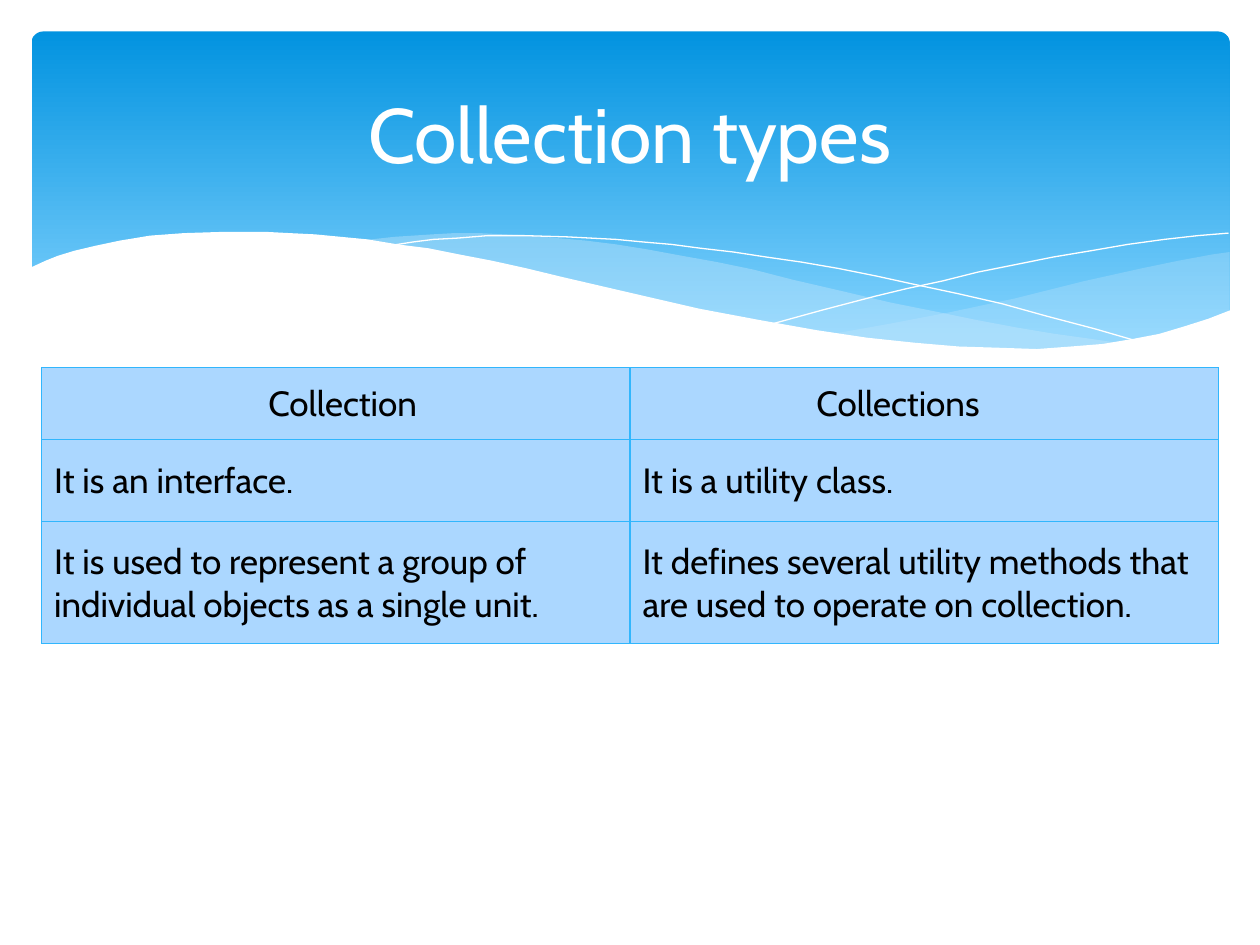
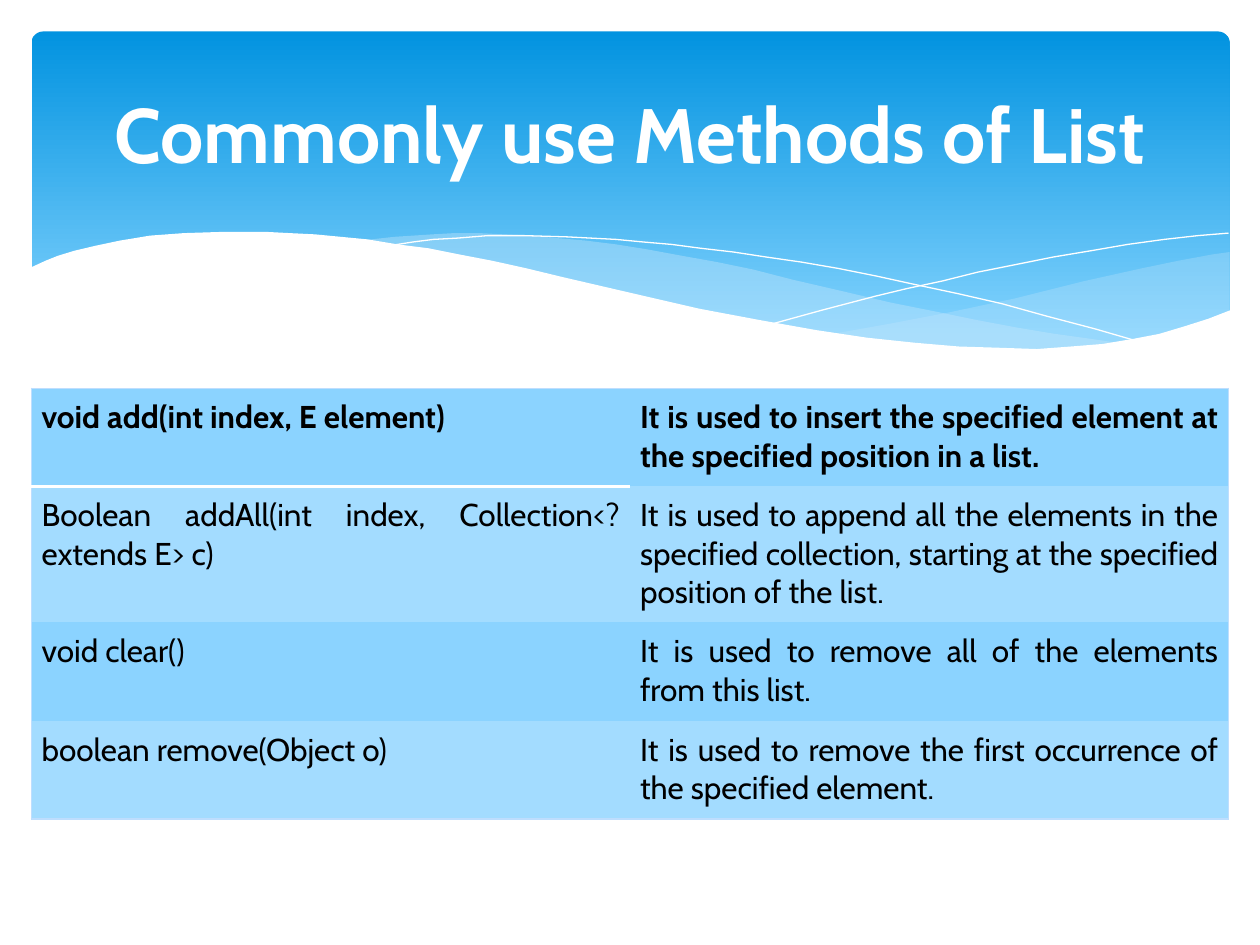
import lxml.etree
import pptx
import pptx.dml.color
import pptx.enum.shapes
import pptx.enum.text
import pptx.oxml.ns
import pptx.util

Inches, Pt = pptx.util.Inches, pptx.util.Pt
qn = pptx.oxml.ns.qn
ALIGN = pptx.enum.text.PP_ALIGN
ANCHOR = pptx.enum.text.MSO_ANCHOR

FONT = "Cabin"
WHITE, BLACK = "FFFFFF", "000000"
BAND_TOP, BAND_BOTTOM, RIPPLE = "0293E0", "83D3FE", "C6E7FC"
GRID, OUTLINE = "31B6FD", "BEDEFE"
PALE_BLUE, ROW_DARK, ROW_LIGHT = "ABD7FF", "8BD3FF", "A3DCFF"

RIGHT_RIPPLE = [
    (9.76, 2), (9.62, 2.02), (9.35, 2.07), (9.06, 2.13), (8.61, 2.23), (8.05, 2.37),
    (7.53, 2.48), (7.06, 2.57), (6.61, 2.65), (6.91, 2.69), (7.19, 2.72), (7.45, 2.75),
    (7.69, 2.77), (8.03, 2.78), (8.35, 2.77), (8.63, 2.75), (8.89, 2.72), (9.13, 2.67),
    (9.35, 2.62), (9.49, 2.57), (9.63, 2.52), (9.76, 2.47)]
MIDDLE_RIPPLE = [
    (8.93, 2.73), (8.66, 2.69), (8.37, 2.65), (8.07, 2.6), (7.75, 2.54), (7.41, 2.47),
    (7.06, 2.4), (6.68, 2.31), (6.29, 2.22), (5.98, 2.14), (5.69, 2.08), (5.41, 2.03),
    (5.14, 1.98), (4.89, 1.94), (4.65, 1.91), (4.42, 1.89), (4.2, 1.87), (3.99, 1.86),
    (3.8, 1.85), (3.61, 1.85), (3.44, 1.86), (3.13, 1.88), (2.86, 1.91), (3.23, 1.96),
    (3.62, 2.03), (4.04, 2.11), (4.49, 2.22), (4.91, 2.32), (5.3, 2.4), (5.66, 2.48),
    (6.01, 2.55), (6.34, 2.61), (6.65, 2.66), (6.95, 2.7), (7.22, 2.74), (7.48, 2.76),
    (7.85, 2.78), (8.28, 2.78), (8.57, 2.77), (8.76, 2.75)]
FALLING_LINE = [
    (3.09, 1.95), (3.28, 1.92), (3.44, 1.9), (3.63, 1.89), (3.87, 1.87), (4.16, 1.87),
    (4.5, 1.88), (4.89, 1.9), (5.1, 1.92), (5.33, 1.94), (5.56, 1.97), (5.82, 2),
    (6.08, 2.04), (6.36, 2.08), (6.65, 2.13), (6.95, 2.19), (7.27, 2.26), (7.6, 2.33),
    (7.95, 2.41), (8.31, 2.51), (8.69, 2.61), (9.07, 2.72)]
RISING_LINE = [
    (6.13, 2.57), (6.53, 2.46), (6.95, 2.35), (7.2, 2.29), (7.48, 2.23), (7.76, 2.16),
    (8.06, 2.1), (8.36, 2.04), (8.66, 1.99), (8.95, 1.94), (9.24, 1.9), (9.51, 1.87),
    (9.75, 1.85)]
WHITE_WAVE = [
    (9.77, 2.46), (9.59, 2.53), (9.4, 2.59), (9.2, 2.65), (8.99, 2.69), (8.75, 2.73),
    (8.5, 2.75), (8.23, 2.77), (7.93, 2.76), (7.61, 2.75), (7.26, 2.72), (6.88, 2.68),
    (6.48, 2.62), (6.03, 2.54), (5.55, 2.45), (5.03, 2.33), (4.47, 2.2), (4.18, 2.13),
    (3.91, 2.07), (3.65, 2.02), (3.4, 1.97), (3.16, 1.94), (2.92, 1.9), (2.71, 1.88),
    (2.5, 1.86), (2.3, 1.85), (2.11, 1.84), (1.77, 1.84), (1.46, 1.85), (1.19, 1.87),
    (0.95, 1.91), (0.76, 1.95), (0.59, 1.99), (0.46, 2.03), (0.36, 2.07), (0.23, 2.13),
    (0.23, 3.29), (9.77, 3.29)]


def rgb(color):
    return pptx.dml.color.RGBColor.from_string(color)


def set_all(obj, values):
    for name, value in values.items():
        setattr(obj, name, value)


class Deck:
    """Holds the shared style and the slide being built."""

    def __init__(self):
        self.prs = pptx.Presentation()
        set_all(self.prs, {"slide_width": Inches(10), "slide_height": Inches(7.5)})
        self.s = None

    def new_slide(self, title, bold=False):
        self.s = self.prs.slides.add_slide(self.prs.slide_layouts[6])
        self.band()
        self.wave(RIGHT_RIPPLE, RIPPLE, 29)
        self.wave(MIDDLE_RIPPLE, RIPPLE, 40)
        self.hairline(FALLING_LINE)
        self.hairline(RISING_LINE)
        self.wave(WHITE_WAVE, WHITE)
        self.title(title, bold)

    def band(self):
        sp = self.s.shapes.add_shape(
            pptx.enum.shapes.MSO_SHAPE.ROUNDED_RECTANGLE,
            Inches(0.25), Inches(0.25), Inches(9.51), Inches(2.7))
        sp.adjustments[0] = 0.034
        sp.shadow.inherit = False
        sp.line.fill.background()
        sp.fill.gradient()
        sp.fill.gradient_angle = 270
        stops = [(0, BAND_TOP), (0.9, BAND_BOTTOM)]
        for stop, (position, color) in zip(sp.fill.gradient_stops, stops):
            stop.position = position
            stop.color.rgb = rgb(color)

    def freeform(self, points, close):
        pts = [(Inches(x), Inches(y)) for x, y in points]
        builder = self.s.shapes.build_freeform(*pts[0])
        builder.add_line_segments(pts[1:], close=close)
        sp = builder.convert_to_shape()
        sp.shadow.inherit = False
        return sp

    def wave(self, points, color, opacity=100):
        sp = self.freeform(points, True)
        sp.line.fill.background()
        sp.fill.solid()
        sp.fill.fore_color.rgb = rgb(color)
        if opacity < 100:
            clr = sp._element.spPr.find(qn("a:solidFill")).find(qn("a:srgbClr"))
            lxml.etree.SubElement(clr, qn("a:alpha"), val=str(opacity * 1000))

    def hairline(self, points):
        sp = self.freeform(points, False)
        sp.fill.background()
        sp.line.color.rgb = rgb(WHITE)
        sp.line.width = Pt(0)

    def text(self, tf, text, size, color, bold=False, align=ALIGN.LEFT):
        p = tf.paragraphs[0]
        p.alignment = align
        r = p.add_run()
        r.text = text
        set_all(r.font, {"name": FONT, "size": Pt(size), "bold": bold})
        r.font.color.rgb = rgb(color)
        return p

    def title(self, text, bold):
        sp = self.s.shapes.add_textbox(Inches(0.5), Inches(0.37), Inches(9), Inches(1.37))
        set_all(sp.text_frame, {"word_wrap": True, "vertical_anchor": ANCHOR.MIDDLE})
        self.text(sp.text_frame, text, 44, WHITE, bold, ALIGN.CENTER)

    def table(self, left, top, col_width, row_heights, rows, style_cell):
        """Add a table; style_cell(cell, text, row, column) fills each cell."""
        n = len(rows[0])
        frame = self.s.shapes.add_table(
            len(rows), n, Inches(left), Inches(top),
            Inches(col_width * n), Inches(sum(row_heights)))
        tbl = frame.table
        set_all(tbl, {"first_row": False, "horz_banding": False})
        for col in tbl.columns:
            col.width = Inches(col_width)
        for i, (height, texts) in enumerate(zip(row_heights, rows)):
            tbl.rows[i].height = Inches(height)
            for j, text in enumerate(texts):
                style_cell(tbl.cell(i, j), text, i, j)

    def cell_format(self, cell, fill, pad_x, pad_y, anchor, borders):
        """Borders maps a side (L, R, T, B) to (colour, points); other sides get none."""
        set_all(cell, {
            "margin_left": Inches(pad_x), "margin_right": Inches(pad_x),
            "margin_top": Inches(pad_y), "margin_bottom": Inches(pad_y),
            "vertical_anchor": anchor})
        cell.fill.solid()
        cell.fill.fore_color.rgb = rgb(fill)
        tcPr = cell._tc.get_or_add_tcPr()
        for k, side in enumerate("LRTB"):
            ln = lxml.etree.Element(qn("a:ln" + side))
            if side in borders:
                color, width = borders[side]
                ln.set("w", str(Pt(width)))
                solid = lxml.etree.SubElement(ln, qn("a:solidFill"))
                lxml.etree.SubElement(solid, qn("a:srgbClr"), val=color)
            else:
                lxml.etree.SubElement(ln, qn("a:noFill"))
            tcPr.insert(k, ln)


def collection_types(deck):
    rows = [
        ("Collection", "Collections"),
        ("It is an interface.", "It is a utility class."),
        ("It is used to represent a group of individual objects as a single unit.",
         "It defines several utility methods that are used to operate on collection.")]
    header_indents = (1.7, 1.38)

    def style_cell(cell, text, i, j):
        deck.cell_format(cell, PALE_BLUE, 0.1, 0.15 if i else 0.1, ANCHOR.MIDDLE,
                         {side: (GRID, 0.75) for side in "LRTB"})
        p = deck.text(cell.text_frame, text, 20, BLACK)
        if i == 0:
            p._p.get_or_add_pPr().set("marL", str(Inches(header_indents[j])))

    deck.new_slide("Collection types")
    deck.table(0.33, 2.92, 4.67, (0.57, 0.65, 0.97), rows, style_cell)


def list_methods(deck):
    rows = [
        ("void add(int index, E element)",
         "It is used to insert the specified element at the specified position in a list."),
        ("Boolean addAll(int index, Collection<? extends E> c)",
         "It is used to append all the elements in the specified collection, "
         "starting at the specified position of the list."),
        ("void clear()", "It is used to remove all of the elements from this list."),
        ("boolean remove(Object o)",
         "It is used to remove the first occurrence of the specified element.")]

    def style_cell(cell, text, i, j):
        borders = {"R" if j else "L": (OUTLINE, 0.75)}
        if i == 0:
            borders["T"] = (OUTLINE, 0.75)
        if i == len(rows) - 1:
            borders["B"] = (OUTLINE, 0.75)
        if j == 0 and i < 2:
            borders["T" if i else "B"] = (WHITE, 2)
        deck.cell_format(cell, ROW_LIGHT if i % 2 else ROW_DARK, 0.08, 0.08,
                         ANCHOR.TOP, borders)
        deck.text(cell.text_frame, text, 18, BLACK, i == 0, ALIGN.JUSTIFY)

    deck.new_slide("Commonly use Methods of List", bold=True)
    deck.table(0.25, 3.08, 4.75, (0.78, 1.08, 0.78, 0.78), rows, style_cell)


def main():
    deck = Deck()
    collection_types(deck)
    list_methods(deck)
    deck.prs.save("out.pptx")


if __name__ == "__main__":
    main()
